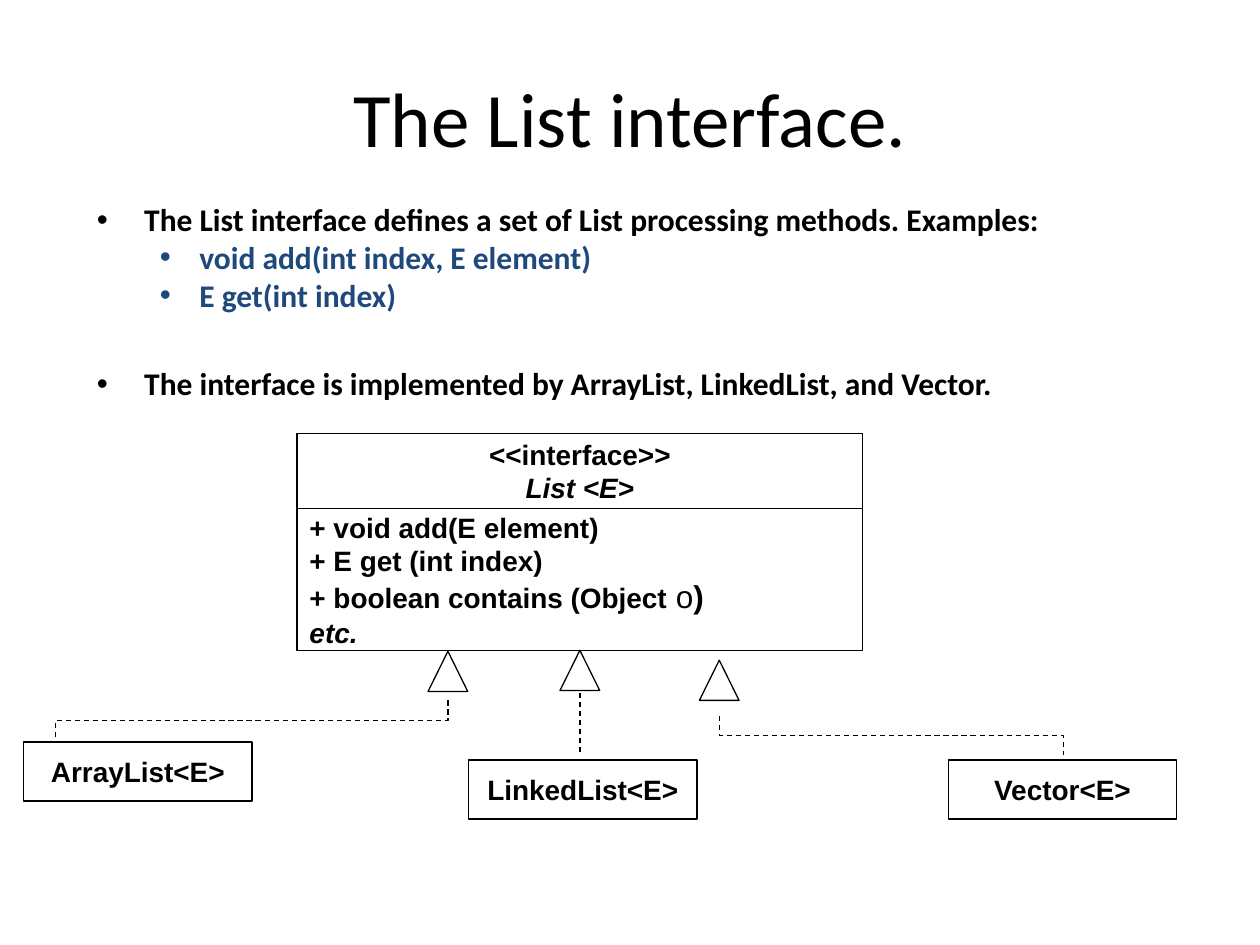
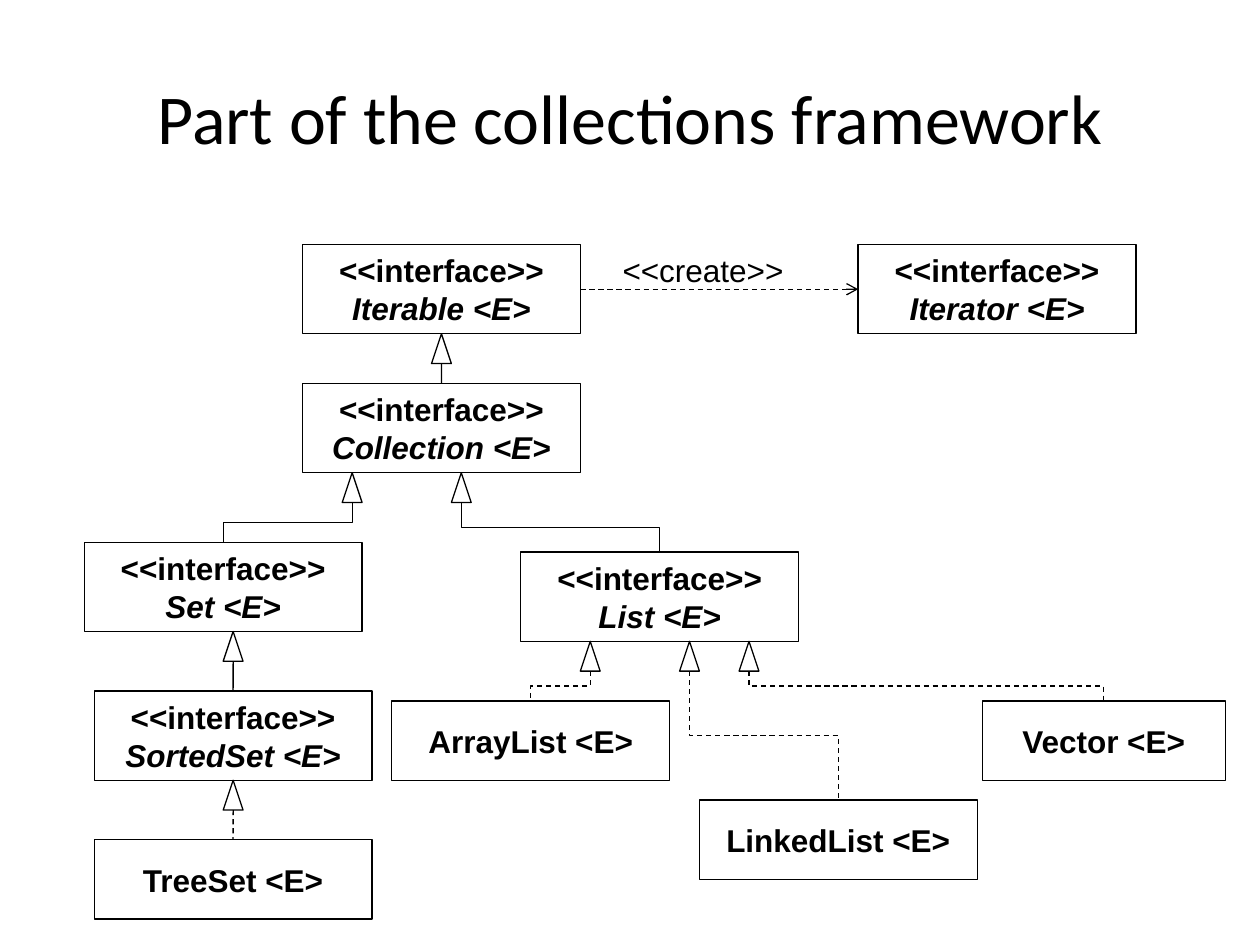
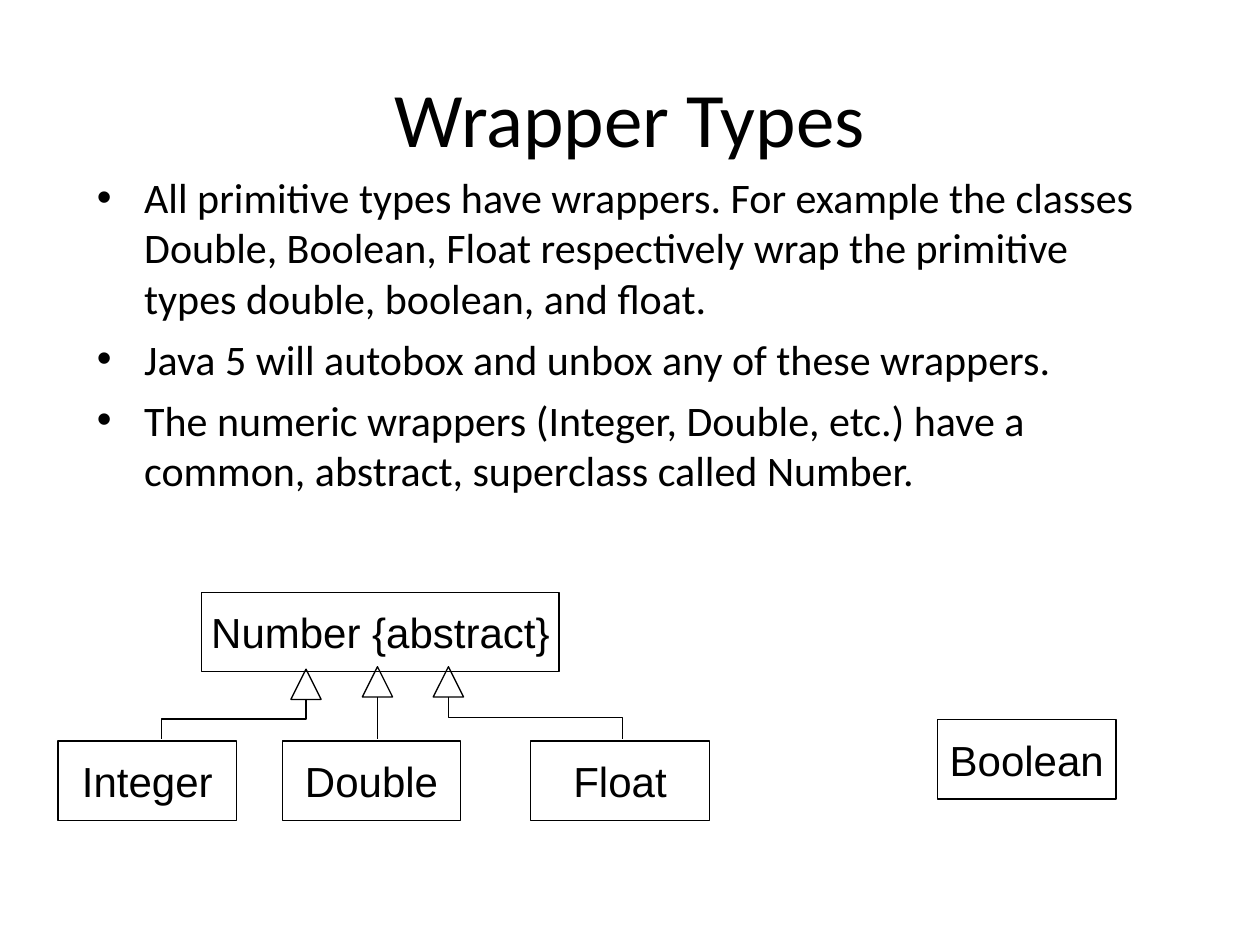
from dataclasses import dataclass
from typing import NamedTuple

from lxml import etree
from pptx import Presentation
from pptx.dml.color import RGBColor
from pptx.enum.dml import MSO_LINE
from pptx.enum.shapes import MSO_CONNECTOR as Link, MSO_SHAPE as Preset
from pptx.enum.text import MSO_ANCHOR as Anchor, MSO_AUTO_SIZE as Fit, PP_ALIGN as Align
from pptx.oxml.ns import qn
from pptx.util import Cm, Pt


# Shared look
@dataclass(frozen=True)
class Theme:
    text_font: str = "Calibri"
    uml_font: str = "Arial"
    ink: RGBColor = RGBColor(0x00, 0x00, 0x00)
    accent: RGBColor = RGBColor(0x1F, 0x49, 0x7D)
    title: int = 44
    long_title: int = 40
    large: int = 24
    medium: int = 18
    small: int = 16
    line: float = 0.75


THEME = Theme()
TITLE_AND_BODY, TITLE_ONLY = 1, 5
STEREOTYPE = "<<interface>>"


class Area(NamedTuple):
    """A region of the slide, in centimetres."""
    left: float
    top: float
    width: float
    height: float

    def inner(self, x, y, width, height):
        return Area(self.left + x, self.top + y, width, height)

    def point(self, x, y):
        return self.left + x, self.top + y

    def lengths(self):
        return [Cm(value) for value in self]


class Piece(NamedTuple):
    """A stretch of text with one format."""
    text: str
    size: int
    bold: bool = False
    italic: bool = False


TITLE_AREA = Area(1.27, 0.76, 22.86, 3.18)


# Text
def add_run(paragraph, piece, font_name, color=THEME.ink):
    run = paragraph.add_run()
    run.text = piece.text
    font = run.font
    font.name, font.size = font_name, Pt(piece.size)
    font.bold, font.italic = piece.bold, piece.italic
    font.color.rgb = color


def paragraphs_for(frame, items):
    for index, item in enumerate(items):
        yield (frame.add_paragraph() if index else frame.paragraphs[0]), item


def start_slide(deck, layout, title, size=THEME.title):
    slide = deck.slides.add_slide(deck.slide_layouts[layout])
    heading = slide.shapes.title
    heading.left, heading.top, heading.width, heading.height = TITLE_AREA.lengths()
    frame = heading.text_frame
    frame.auto_size, frame.vertical_anchor = Fit.NONE, Anchor.MIDDLE
    frame.paragraphs[0].alignment = Align.CENTER
    add_run(frame.paragraphs[0], Piece(title, size), THEME.text_font)
    return slide


def fill_list(slide, area, items, size, bold=False):
    """Fill the body with (text, level, space before) items."""
    body = slide.placeholders[1]
    body.left, body.top, body.width, body.height = area.lengths()
    body.text_frame.auto_size = Fit.NONE
    for paragraph, (text, level, before) in paragraphs_for(body.text_frame, items):
        bullet = etree.SubElement(paragraph._p.get_or_add_pPr(), qn("a:buChar"))
        bullet.set("char", "•")
        paragraph.level = level
        paragraph.space_before = Pt(before)
        color = THEME.accent if level else THEME.ink
        add_run(paragraph, Piece(text, size, bold), THEME.text_font, color)


# Class diagram parts
def outline(shape):
    shape.shadow.inherit = False
    shape.fill.background()
    shape.line.color.rgb = THEME.ink
    shape.line.width = Pt(THEME.line)


def add_box(slide, area, lines, align=Align.CENTER):
    """Draw a class box; each line is a list of pieces."""
    box = slide.shapes.add_shape(Preset.RECTANGLE, *area.lengths())
    outline(box)
    frame = box.text_frame
    frame.word_wrap = align == Align.LEFT
    frame.vertical_anchor = Anchor.MIDDLE
    for paragraph, pieces in paragraphs_for(frame, lines):
        paragraph.alignment = align
        for piece in pieces:
            add_run(paragraph, piece, THEME.uml_font)
    return box


def interface_lines(name, size):
    return [[Piece(STEREOTYPE, size, True)], [Piece(name, size, True, True)]]


def add_line(slide, kind, start, end, dashed):
    line = slide.shapes.add_connector(kind, *(Cm(value) for value in (*start, *end)))
    line.line.color.rgb = THEME.ink
    line.line.width = Pt(THEME.line)
    if dashed:
        line.line.dash_style = MSO_LINE.DASH
    etree.SubElement(line.element.spPr, qn("a:effectLst"))
    return line


def add_elbow(slide, start, end, dashed):
    """Draw a bent line that leaves downwards: a sideways one, turned."""
    (x1, y1), (x2, y2) = start, end
    middle_x, middle_y = (x1 + x2) / 2, (y1 + y2) / 2
    half_width, half_height = abs(x2 - x1) / 2, (y2 - y1) / 2
    turn, side = (90, -1) if x2 < x1 else (270, 1)
    line = add_line(slide, Link.ELBOW,
                    (middle_x + side * half_height, middle_y - half_width),
                    (middle_x - side * half_height, middle_y + half_width), dashed)
    line.element.spPr.find(qn("a:xfrm")).set("rot", str(turn * 60000))


def add_inheritance(slide, apex, size, end, dashed=False, gap=0, child=None):
    """Draw a hollow triangle at the parent and a line down to the child."""
    (x, y), (width, height) = apex, size
    triangle_area = Area(x - width / 2, y, width, height)
    outline(slide.shapes.add_shape(Preset.ISOSCELES_TRIANGLE, *triangle_area.lengths()))
    start = x, y + height + gap
    if abs(end[0] - x) > 0.01:
        add_elbow(slide, start, end, dashed)
        return
    line = add_line(slide, Link.STRAIGHT, start, end, dashed)
    if child is not None:
        line.end_connect(child, 0)


# Slide 1
def draw_list_interface(slide, area):
    size = THEME.small
    add_box(slide, area.inner(5.51, 0, 11.4, 1.51), interface_lines("List <E>", size))
    methods = [
        [Piece("+ void add(E element)", size, True)],
        [Piece("+ E get (int index)", size, True)],
        [Piece("+ boolean contains (Object", size, True), Piece(" ", THEME.medium, True),
         Piece("o", THEME.medium), Piece(")", THEME.medium, True)],
        [Piece("etc.", size, True, True)],
    ]
    add_box(slide, area.inner(5.51, 1.51, 11.4, 2.86), methods, Align.LEFT)

    # name, box left and top, triangle apex, gap below it, line end
    classes = [
        ("ArrayList<E>", (0, 6.22), (8.55, 4.39), 0.18, (0.64, 6.2)),
        ("LinkedList<E>", (8.97, 6.58), (11.21, 4.37), 0.05, (11.21, 6.43)),
        ("Vector<E>", (18.64, 6.58), (14.02, 4.57), 0.31, (20.96, 6.48)),
    ]
    for name, corner, apex, gap, end in classes:
        add_box(slide, area.inner(*corner, 4.6, 1.19), [[Piece(name, size, True)]])
        add_inheritance(slide, area.point(*apex), (0.8, 0.81), area.point(*end), True, gap)


def list_slide(deck):
    slide = start_slide(deck, TITLE_AND_BODY, "The List interface.")
    fill_list(slide, Area(1.7, 3.91, 21.59, 4.83), [
        ("The List interface defines a set of List processing methods. Examples:", 0, 0),
        ("void add(int index, E element)", 1, 0),
        ("E get(int index)", 1, 0),
        ("The interface is implemented by ArrayList, LinkedList, and Vector.", 0, 29),
    ], THEME.medium, bold=True)
    draw_list_interface(slide, Area(0.48, 8.74, 23.24, 7.77))


# Slide 2
def draw_framework(slide, area):
    size, width, interface_height, class_height = THEME.medium, 5.6, 1.8, 1.6
    interfaces = {
        "Iterable": (4.4, 0), "Iterator": (15.6, 0), "Collection": (4.4, 2.8),
        "List": (8.8, 6.2), "Set": (0, 6), "SortedSet": (0.2, 9),
    }
    classes = {
        "ArrayList": (6.2, 9.2, width), "LinkedList": (12.4, 11.2, width),
        "Vector": (18.1, 9.2, 4.9), "TreeSet": (0.2, 12, width),
    }
    boxes, tops = {}, {}
    for name, (x, y) in interfaces.items():
        boxes[name] = add_box(slide, area.inner(x, y, width, interface_height),
                              interface_lines(f"{name} <E>", size))
        tops[name] = area.point(x + width / 2, y)
    for name, (x, y, class_width) in classes.items():
        boxes[name] = add_box(slide, area.inner(x, y, class_width, class_height),
                              [[Piece(f"{name} <E>", size, True)]])
        tops[name] = area.point(x + class_width / 2, y)

    # Parent, child, and where the triangle meets the parent
    for parent, child, apex_x in [
        ("Iterable", "Collection", 7.2), ("Collection", "Set", 5.4),
        ("Collection", "List", 7.6), ("Set", "SortedSet", 3), ("List", "ArrayList", 10.2),
        ("List", "LinkedList", 12.2), ("List", "Vector", 13.4), ("SortedSet", "TreeSet", 3),
    ]:
        apex = area.point(apex_x, interfaces[parent][1] + interface_height)
        add_inheritance(slide, apex, (0.4, 0.6), tops[child], child in classes,
                        child=boxes[child])

    # Creation arrow and its label
    arrow = add_line(slide, Link.STRAIGHT, area.point(10, 0.9), area.point(15.6, 0.9), True)
    arrow.begin_connect(boxes["Iterable"], 3)
    arrow.end_connect(boxes["Iterator"], 1)
    etree.SubElement(arrow.line._get_or_add_ln(), qn("a:tailEnd")).set("type", "arrow")
    label = slide.shapes.add_textbox(*area.inner(10.6, 0, 6.2, 1.02).lengths())
    label.text_frame.word_wrap = True
    add_run(label.text_frame.paragraphs[0], Piece("<<create>>", size), THEME.uml_font)


def framework_slide(deck):
    slide = start_slide(deck, TITLE_ONLY, "Part of the collections framework",
                        THEME.long_title)
    draw_framework(slide, Area(1.7, 4.93, 23, 13.6))


# Slide 3
def draw_wrappers(slide, area):
    for name, x, y, width in [
        ("Number {abstract}", 2.9, 0, 7.2), ("Integer", 0, 3, 3.6), ("Double", 4.52, 3, 3.6),
        ("Float", 9.53, 3, 3.6), ("Boolean", 17.73, 2.57, 3.6),
    ]:
        add_box(slide, area.inner(x, y, width, 1.6), [[Piece(name, THEME.large)]])
    for apex, end_x in [((5, 1.55), 2.08), ((6.44, 1.5), 6.44), ((7.87, 1.5), 11.38)]:
        add_inheritance(slide, area.point(*apex), (0.61, 0.61), area.point(end_x, 2.95))


def wrapper_slide(deck):
    slide = start_slide(deck, TITLE_AND_BODY, "Wrapper Types")
    fill_list(slide, Area(1.7, 3.33, 21.59, 7.82), [
        ("All primitive types have wrappers. For example the classes Double, Boolean, "
         "Float respectively wrap the primitive types double, boolean, and float.", 0, 0),
        ("Java 5 will autobox and unbox any of these wrappers.", 0, 6),
        ("The numeric wrappers (Integer, Double, etc.) have a common, abstract, "
         "superclass called Number.", 0, 6),
    ], THEME.large)
    draw_wrappers(slide, Area(1.17, 11.94, 21.34, 4.6))


def main():
    deck = Presentation()
    deck.slide_width, deck.slide_height = Cm(25.4), Cm(19.05)
    list_slide(deck)
    framework_slide(deck)
    wrapper_slide(deck)
    deck.save("out.pptx")


if __name__ == "__main__":
    main()
